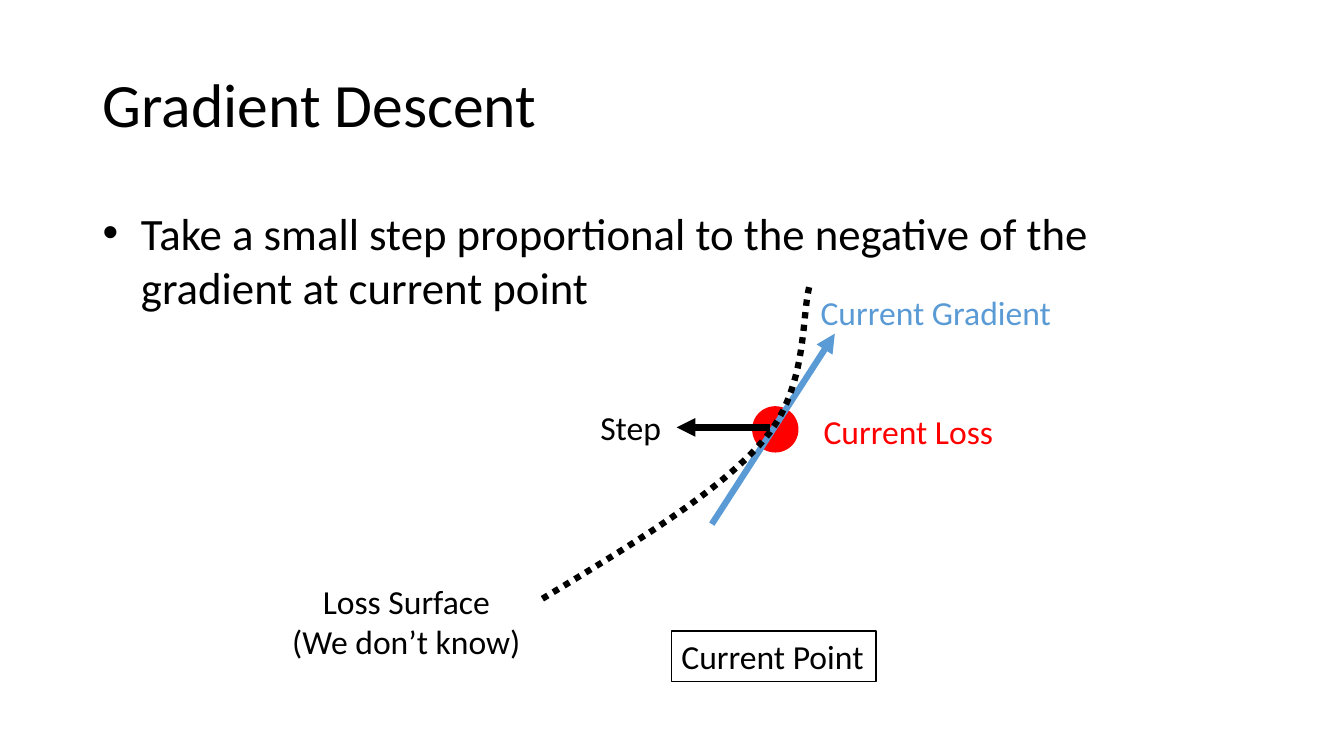
from lxml.etree import SubElement
from pptx import Presentation
from pptx.dml.color import RGBColor
from pptx.enum.dml import MSO_LINE
from pptx.enum.shapes import MSO_CONNECTOR, MSO_SHAPE
from pptx.enum.text import MSO_ANCHOR, PP_ALIGN
from pptx.oxml.ns import qn
from pptx.util import Inches, Pt

BLACK, WHITE, RED, BLUE = "000000", "FFFFFF", "FF0000", "5B9BD5"
STEPS = 24


def paint(color, value):
    """Set a colour format from a hex string."""
    color.rgb = RGBColor.from_string(value)


def style(item, **values):
    """Set each named format value on an object."""
    for name, value in values.items():
        setattr(item, name, value)


def write(shape, text, size, color=BLACK, align=PP_ALIGN.LEFT, wrap=False, anchor=MSO_ANCHOR.TOP):
    """Fill a shape with text, one paragraph per line."""
    frame = shape.text_frame
    frame.text = text
    style(frame, word_wrap=wrap, vertical_anchor=anchor)
    for para in frame.paragraphs:
        para.alignment = align
        style(para.font, name="Calibri", size=Pt(size))
        paint(para.font.color, color)
    return frame


def shape(slide, kind, box, fill, edge=None):
    """Add a plain filled shape with an optional outline."""
    item = slide.shapes.add_shape(kind, *map(Inches, box))
    item.shadow.inherit = False
    item.fill.solid()
    paint(item.fill.fore_color, fill)
    if edge:
        item.line.width = Pt(1)
        paint(item.line.color, edge)
    else:
        item.line.fill.background()
    return item


def label(slide, box, text, color=BLACK, align=PP_ALIGN.LEFT):
    """Add a text label of the diagram."""
    write(slide.shapes.add_textbox(*map(Inches, box)), text, 24, color, align)


def arrow(slide, start, end, color):
    """Add a thick arrow between two points."""
    line = slide.shapes.add_connector(MSO_CONNECTOR.STRAIGHT, *map(Inches, start + end))
    line.line.width = Pt(4.5)
    paint(line.line.color, color)
    props = line._element.spPr
    SubElement(props.find(qn("a:ln")), qn("a:tailEnd"), type="triangle")
    SubElement(props, qn("a:effectLst"))


def bezier(a, b, c, d):
    """Return points along a cubic curve, without its start."""
    points = []
    for step in range(1, STEPS + 1):
        t = step / STEPS
        u = 1 - t
        points.append(tuple(
            u**3 * p + 3 * u * u * t * q + 3 * u * t * t * r + t**3 * s
            for p, q, r, s in zip(a, b, c, d)
        ))
    return points


def curve(slide, knots):
    """Draw a dotted open line through joined cubic curves."""
    pen = slide.shapes.build_freeform(*map(Inches, knots[0]))
    for i in range(0, len(knots) - 1, 3):
        points = bezier(*knots[i:i + 4])
        pen.add_line_segments([tuple(map(Inches, p)) for p in points], close=False)
    item = pen.convert_to_shape()
    item.shadow.inherit = False
    item.fill.background()
    paint(item.line.color, BLACK)
    style(item.line, width=Pt(4.5), dash_style=MSO_LINE.ROUND_DOT)


def title(slide, box, text):
    """Place the slide title."""
    item = slide.shapes.add_textbox(*map(Inches, box))
    write(item, text, 44, wrap=True, anchor=MSO_ANCHOR.MIDDLE)


def body(slide, box, text):
    """Place the bulleted statement."""
    frame = write(slide.shapes.add_textbox(*map(Inches, box)), text, 32, wrap=True)
    for para in frame.paragraphs:
        para.space_before = Pt(6.4)
        props = para._p.get_or_add_pPr()
        props.set("marL", str(Inches(0.38)))
        props.set("indent", str(Inches(-0.38)))
        SubElement(props, qn("a:buFont"), typeface="Arial")
        SubElement(props, qn("a:buChar"), char="•")


def descent(slide, left, top):
    """Draw the loss curve, gradient and step from a top left corner."""
    def at(x, y, *size):
        return (left + x, top + y, *size)

    shape(slide, MSO_SHAPE.OVAL, at(4.67, 1.23, 0.46, 0.46), RED)
    label(slide, at(5.25, 0.05, 2.51, 0.5), "Current Gradient", BLUE)
    arrow(slide, at(4.27, 2.4), at(5.49, 0.51), BLUE)
    label(slide, at(5.28, 1.23, 1.9, 0.5), "Current Loss", RED)
    point = shape(slide, MSO_SHAPE.RECTANGLE, at(3.87, 3.46, 2.03, 0.5), WHITE, BLACK)
    write(point, "Current Point", 24)
    curve(slide, [at(2.59, 3.14), at(3.47, 2.61), at(4.35, 2.08), at(4.79, 1.56),
                  at(5.24, 1.03), at(5.15, 0.3), at(5.25, 0)])
    label(slide, at(0, 2.91, 2.48, 0.91), "Loss Surface\n(We don’t know)", align=PP_ALIGN.CENTER)
    arrow(slide, at(4.85, 1.44), at(3.92, 1.44), BLACK)
    label(slide, at(3.06, 1.19, 0.81, 0.5), "Step", align=PP_ALIGN.CENTER)


def main():
    """Build and save the slide."""
    deck = Presentation()
    style(deck, slide_width=Inches(13.33), slide_height=Inches(7.5))
    slide = deck.slides.add_slide(deck.slide_layouts[6])
    title(slide, (0.92, 0.3, 11.5, 1.45), "Gradient Descent")
    body(slide, (0.92, 1.99, 11.5, 4.76),
         "Take a small step proportional to the negative of the gradient at current point")
    descent(slide, 2.79, 2.8)
    deck.save("out.pptx")


if __name__ == "__main__":
    main()
